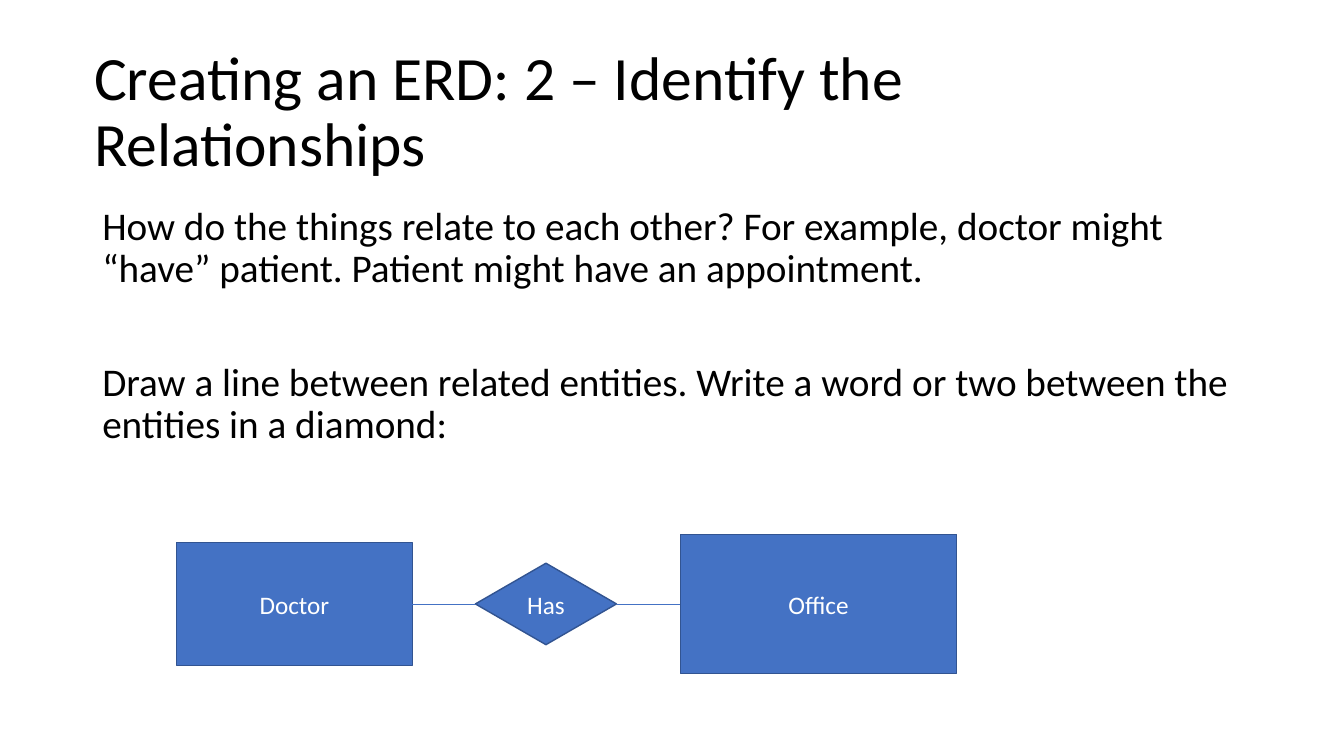
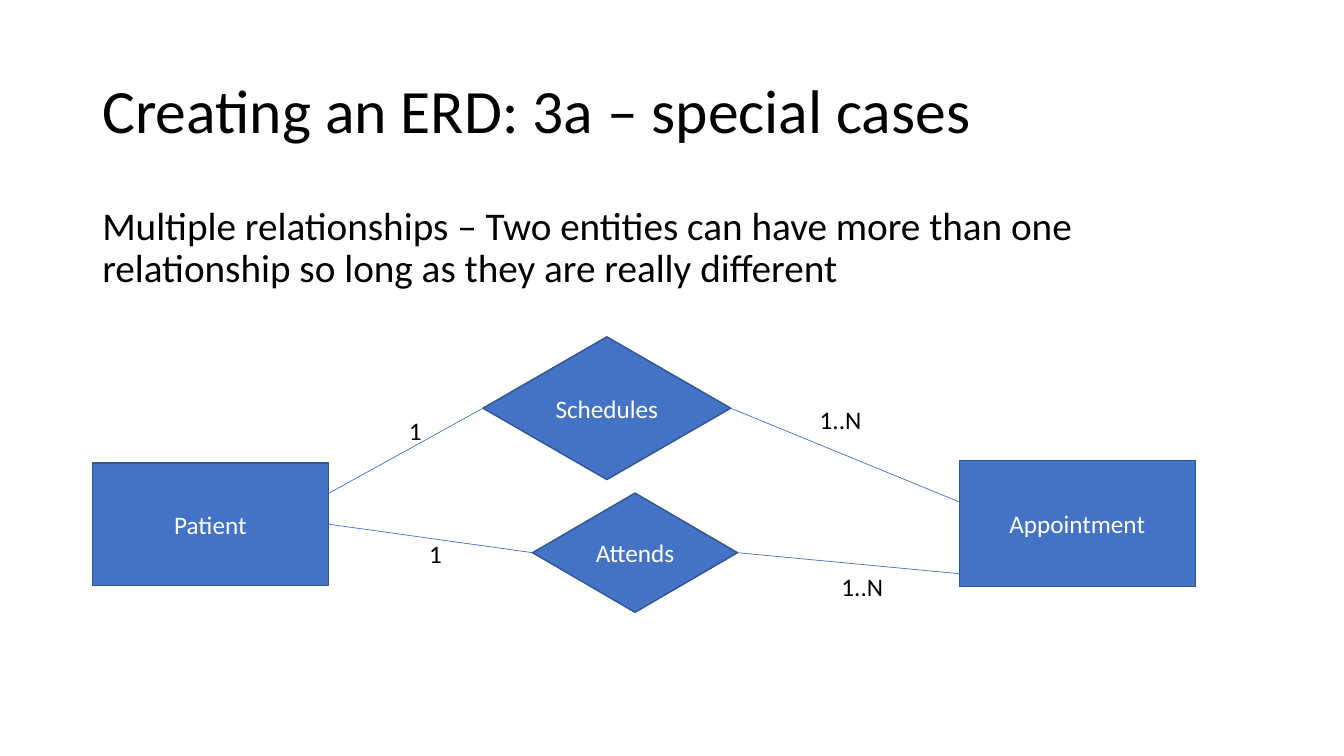
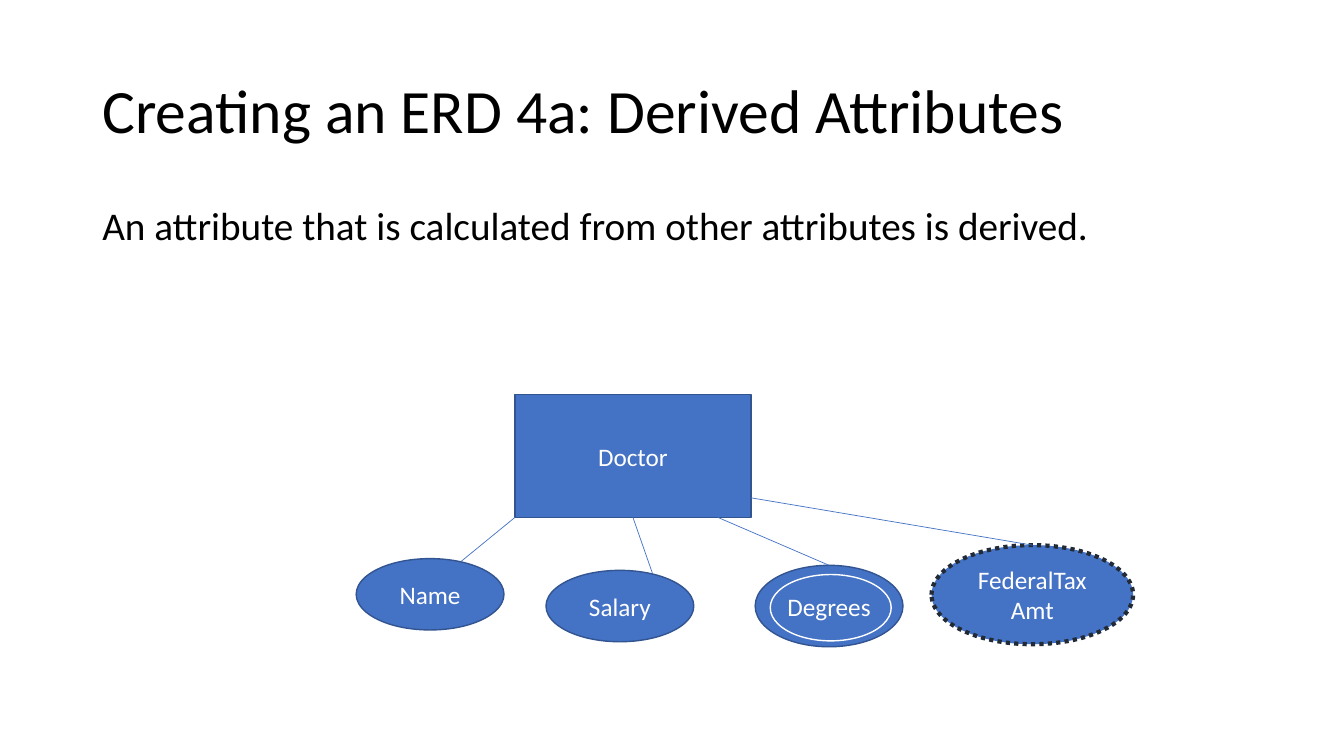
from dataclasses import dataclass, field

from lxml.etree import SubElement
from pptx import Presentation
from pptx.dml.color import RGBColor
from pptx.enum.dml import MSO_LINE_DASH_STYLE as Dash
from pptx.enum.shapes import MSO_CONNECTOR, MSO_SHAPE as Shape
from pptx.enum.text import MSO_ANCHOR as Anchor, MSO_AUTO_SIZE as AutoSize, PP_ALIGN as Align
from pptx.oxml.ns import qn
from pptx.util import Emu, Inches, Pt

FONT = "Calibri"
BLACK, WHITE, BLUE, NAVY, SLATE = "000000", "FFFFFF", "4472C4", "325491", "222A35"
COLS, ROWS = 160, 90
LABEL_H = 4.8
ENTITY_W, ENTITY_H = 28.1, 14.6
ATTR_W, ATTR_H = 17.6, 8.5

prs = Presentation()
prs.slide_width, prs.slide_height = Inches(40 / 3), Inches(7.5)


@dataclass(frozen=True)
class Box:
    x: float
    y: float
    w: float
    h: float

    def at(self, across: float, down: float) -> tuple[Emu, Emu]:
        return col(self.x + across * self.w), row(self.y + down * self.h)

    def emu(self) -> tuple[Emu, Emu, Emu, Emu]:
        return col(self.x), row(self.y), col(self.w), row(self.h)


@dataclass(frozen=True)
class Node:
    text: str
    kind: Shape
    box: Box
    fill: str | None = BLUE
    edge: str = NAVY
    weight: float = 1
    dash: Dash | None = None


@dataclass(frozen=True)
class End:
    node: str
    across: float
    down: float


@dataclass(frozen=True)
class Link:
    start: End
    end: End


@dataclass(frozen=True)
class Label:
    text: str
    box: Box


@dataclass(frozen=True)
class Page:
    title: str
    body: list[str]
    body_rows: float
    nodes: list[Node]
    links: list[Link]
    labels: list[Label] = field(default_factory=list)
    title_box: Box = Box(11, 4.8, 138, 17.4)


def col(n: float) -> Emu:
    return Emu(round(n * prs.slide_width / COLS))


def row(n: float) -> Emu:
    return Emu(round(n * prs.slide_height / ROWS))


def rgb(value: str) -> RGBColor:
    return RGBColor.from_string(value)


def add_run(p, text: str, size: float, color: str) -> None:
    r = p.add_run()
    r.text = text
    r.font.name, r.font.size = FONT, Pt(size)
    r.font.color.rgb = rgb(color)


def draw_title(s, text: str, box: Box) -> None:
    sp = s.shapes.title
    sp.left, sp.top, sp.width, sp.height = box.emu()
    tf = sp.text_frame
    tf.word_wrap, tf.auto_size = True, AutoSize.NONE
    tf.vertical_anchor = Anchor.MIDDLE
    p = tf.paragraphs[0]
    p.alignment, p.line_spacing = Align.LEFT, 0.9
    add_run(p, text, 44, BLACK)


def draw_body(s, texts: list[str], rows: float) -> None:
    tf = s.shapes.add_textbox(*Box(11, 24, 138, rows).emu()).text_frame
    tf.word_wrap = True
    for i, text in enumerate(texts):
        p = tf.add_paragraph() if i else tf.paragraphs[0]
        p.line_spacing, p.space_before = 0.9, Pt(51 if i else 10)
        add_run(p, text, 28, BLACK)


def draw_node(s, node: Node) -> None:
    sp = s.shapes.add_shape(node.kind, *node.box.emu())
    sp.shadow.inherit = False
    if node.fill:
        sp.fill.solid()
        sp.fill.fore_color.rgb = rgb(node.fill)
    else:
        sp.fill.background()
    sp.line.color.rgb, sp.line.width = rgb(node.edge), Pt(node.weight)
    if node.dash:
        sp.line.dash_style = node.dash
    if node.text:
        tf = sp.text_frame
        tf.word_wrap, tf.vertical_anchor = True, Anchor.MIDDLE
        p = tf.paragraphs[0]
        p.alignment = Align.CENTER
        add_run(p, node.text, 18, WHITE)


def draw_link(s, link: Link, boxes: dict[str, Box]) -> None:
    start, end = (boxes[e.node].at(e.across, e.down) for e in (link.start, link.end))
    line = s.shapes.add_connector(MSO_CONNECTOR.STRAIGHT, *start, *end)
    line.line.color.rgb, line.line.width = rgb(BLUE), Pt(0.5)
    SubElement(line._element.spPr, qn("a:effectLst"))


def draw_label(s, label: Label) -> None:
    tf = s.shapes.add_textbox(*label.box.emu()).text_frame
    tf.word_wrap, tf.auto_size = False, AutoSize.SHAPE_TO_FIT_TEXT
    add_run(tf.paragraphs[0], label.text, 18, BLACK)


def draw_page(page: Page) -> None:
    s = prs.slides.add_slide(prs.slide_layouts[5])
    draw_title(s, page.title, page.title_box)
    draw_body(s, page.body, page.body_rows)
    for node in page.nodes:
        draw_node(s, node)
    boxes = {node.text: node.box for node in page.nodes}
    for link in page.links:
        draw_link(s, link, boxes)
    for label in page.labels:
        draw_label(s, label)


def entity(text: str, x: float, y: float, w: float = ENTITY_W, h: float = ENTITY_H) -> Node:
    return Node(text, Shape.RECTANGLE, Box(x, y, w, h))


def relation(text: str, x: float, y: float, w: float, h: float) -> Node:
    return Node(text, Shape.FLOWCHART_DECISION, Box(x, y, w, h))


def attribute(text: str, x: float, y: float, w: float = ATTR_W, h: float = ATTR_H, **style) -> Node:
    return Node(text, Shape.OVAL, Box(x, y, w, h), **style)


PAGES = [
    Page(
        "Creating an ERD: 2 – Identify the Relationships",
        [
            "How do the things relate to each other? For example, doctor might “have” patient. "
            "Patient might have an appointment.",
            "Draw a line between related entities. Write a word or two between the entities in a diamond:",
        ],
        30.2,
        [
            entity("Doctor", 21, 64.6),
            entity("Office", 81, 63.6, 32.9, 16.6),
            relation("Has", 56.6, 67.05, 16.8, 9.7),
        ],
        [
            Link(End("Doctor", 1, 0.5), End("Has", 0, 0.5)),
            Link(End("Has", 1, 0.5), End("Office", 0, 0.5)),
        ],
        title_box=Box(10, 4.8, 139.1, 17.4),
    ),
    Page(
        "Creating an ERD: 3a – special cases",
        [
            "Multiple relationships – Two entities can have more than one relationship "
            "so long as they are really different",
        ],
        57.1,
        [
            entity("Patient", 11, 55.1),
            relation("Attends", 63.4, 58.7, 24.4, 14.2),
            entity("Appointment", 114.2, 54.8, h=15),
            relation("Schedules", 57.5, 40.1, 29.5, 17),
        ],
        [
            Link(End("Patient", 1, 0.5), End("Attends", 0, 0.5)),
            Link(End("Attends", 1, 0.5), End("Appointment", 0, 0.9)),
            Link(End("Schedules", 1, 0.5), End("Appointment", 0, 0.33)),
            Link(End("Schedules", 0, 0.5), End("Patient", 1, 0.25)),
        ],
        [
            Label("1", Box(49.9, 63.5, 4, LABEL_H)),
            Label("1..N", Box(99, 67.4, 7.4, LABEL_H)),
            Label("1..N", Box(96.4, 47.6, 7.4, LABEL_H)),
            Label("1", Box(47.5, 48.8, 4, LABEL_H)),
        ],
    ),
    Page(
        "Creating an ERD 4a: Derived Attributes",
        ["An attribute that is calculated from other attributes is derived."],
        11.8,
        [
            entity("Doctor", 61.3, 47),
            attribute("Name", 42.4, 66.5),
            attribute("Salary", 65, 67.9),
            attribute("Degrees", 89.9, 67.3, h=9.7),
            attribute("", 91.7, 68.4, 14.4, 7.9, fill=None, edge=WHITE),
            attribute("FederalTaxAmt", 110.9, 64.9, 24, 11.8, edge=SLATE, weight=3, dash=Dash.ROUND_DOT),
        ],
        [
            Link(End("Doctor", 0, 1), End("Name", 0.71, 0.04)),
            Link(End("Doctor", 0.5, 1), End("Salary", 0.72, 0.04)),
            Link(End("Doctor", 0.86, 1), End("Degrees", 0.5, 0)),
            Link(End("Doctor", 1, 0.84), End("FederalTaxAmt", 0.5, 0)),
        ],
    ),
]

for page in PAGES:
    draw_page(page)

prs.save("out.pptx")
